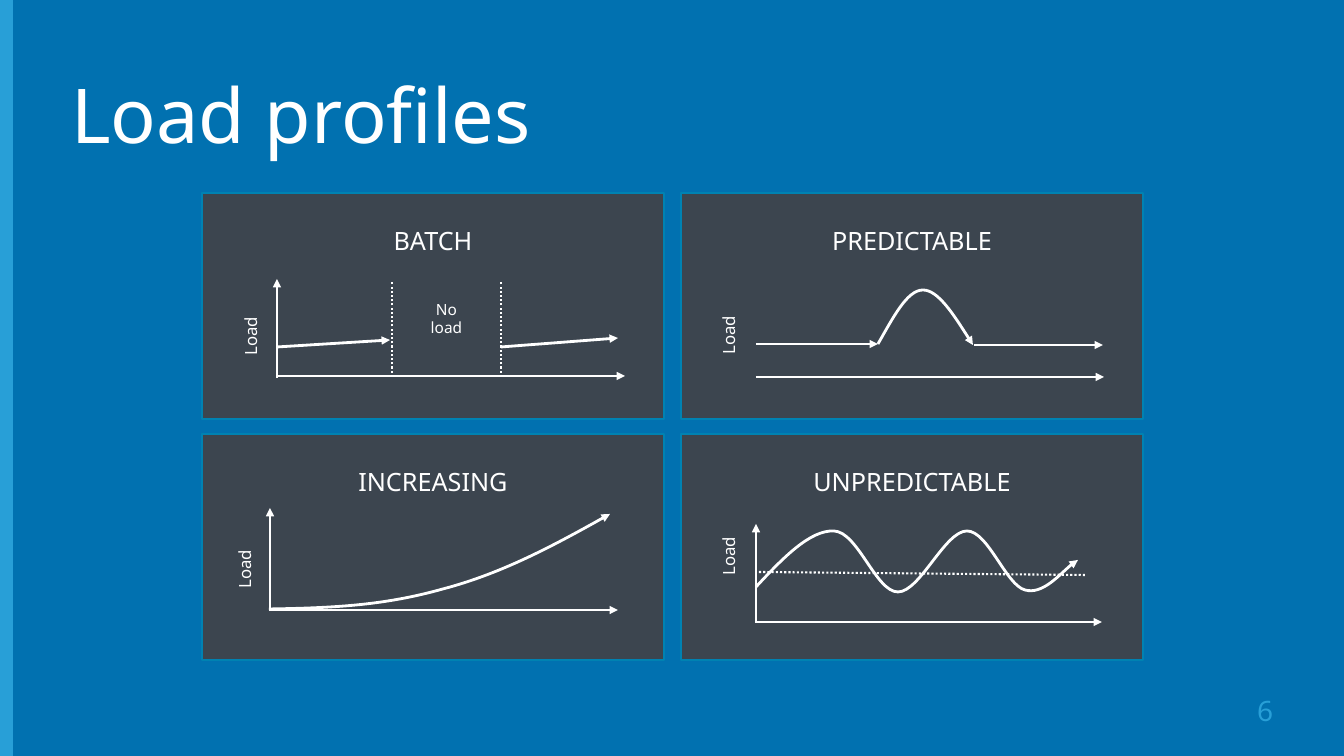
from dataclasses import dataclass

from lxml import etree
from pptx import Presentation
from pptx.dml.color import RGBColor
from pptx.enum.dml import MSO_LINE
from pptx.enum.shapes import MSO_CONNECTOR, MSO_SHAPE
from pptx.enum.text import MSO_ANCHOR, MSO_AUTO_SIZE, PP_ALIGN
from pptx.oxml.ns import qn
from pptx.util import Pt

RECT = MSO_SHAPE.RECTANGLE
STRAIGHT = MSO_CONNECTOR.STRAIGHT
DOT = MSO_LINE.ROUND_DOT
LEFT, MID, RIGHT = PP_ALIGN.LEFT, PP_ALIGN.CENTER, PP_ALIGN.RIGHT
TOP, MIDDLE = MSO_ANCHOR.TOP, MSO_ANCHOR.MIDDLE
FIXED = MSO_AUTO_SIZE.NONE
TITLE_ONLY = 5


@dataclass(frozen=True)
class Theme:
    """Colours, font and sizes of the slide."""
    back: RGBColor = RGBColor(0x01, 0x71, 0xB0)
    accent: RGBColor = RGBColor(0x28, 0x9F, 0xD7)
    card: RGBColor = RGBColor(0x3C, 0x45, 0x4F)
    edge: RGBColor = RGBColor(0x00, 0x82, 0xB2)
    ink: RGBColor = RGBColor(0xFF, 0xFF, 0xFF)
    font: str = "Noto Sans"
    title: int = 54
    page: int = 20
    head: int = 18
    label: int = 12
    note: int = 11
    lead: float = 10.7
    gap: float = 2.2
    line: float = 2
    dots: float = 1.5


THEME = Theme()


def px(num):
    """Turn pixels into EMU."""
    return round(num * 914400 / 100.8)


def place(box, x, y):
    """Shift a point by the corner of its box, in EMU."""
    return px(box[0] + x), px(box[1] + y)


def write(shape, text, size, color=THEME.ink, align=MID, anchor=TOP):
    """Set the text of a shape and format its runs."""
    frame = shape.text_frame
    frame.text = text
    frame.word_wrap = True
    frame.auto_size = FIXED
    frame.vertical_anchor = anchor
    for para in frame.paragraphs:
        para.alignment = align
        for run in para.runs:
            run.font.size = Pt(size)
            run.font.name = THEME.font
            run.font.color.rgb = color
    return frame


def block(slide, box, fill):
    """Draw a plain rectangle."""
    shape = slide.shapes.add_shape(RECT, *map(px, box))
    shape.shadow.inherit = False
    shape.fill.solid()
    shape.fill.fore_color.rgb = fill
    shape.line.fill.background()
    return shape


def stroke(shape, width):
    """Give a line its colour and width."""
    shape.line.color.rgb = THEME.ink
    shape.line.width = Pt(width)


def tip(shape):
    """Put a triangle at the end of a line."""
    etree.SubElement(shape.line._get_or_add_ln(), qn("a:tailEnd"), type="triangle")


def line(slide, box, start, end, dotted=False):
    """Draw an arrow, or a dotted line, inside a box."""
    link = slide.shapes.add_connector(STRAIGHT, *place(box, *start), *place(box, *end))
    stroke(link, THEME.dots if dotted else THEME.line)
    if dotted:
        link.line.dash_style = DOT
    else:
        tip(link)
    etree.SubElement(link._element.spPr, qn("a:effectLst"))


def curve(slide, box, start, *points):
    """Draw an arrow of Bezier arcs, three points to each arc."""
    pen = slide.shapes.build_freeform(*place(box, *start))
    pen.add_line_segments([place(box, *spot) for spot in points], close=False)
    shape = pen.convert_to_shape()
    shape.shadow.inherit = False
    shape.fill.background()
    stroke(shape, THEME.line)
    tip(shape)
    steps = list(shape._element.iter(qn("a:lnTo")))
    for first in range(0, len(steps), 3):
        arc = etree.Element(qn("a:cubicBezTo"))
        steps[first].addprevious(arc)
        for step in steps[first:first + 3]:
            arc.append(step[0])
            step.getparent().remove(step)


def label(slide, box, area, text, size, turn=0):
    """Add a small label with tight lines."""
    x, y, wide, high = area
    shape = slide.shapes.add_textbox(*place(box, x, y), px(wide), px(high))
    shape.rotation = turn
    for para in write(shape, text, size).paragraphs:
        para.line_spacing = Pt(THEME.lead)
        para.space_before = Pt(THEME.gap)


def panel(slide, box, head, x, y):
    """Draw a card with its heading and the load label at x, y."""
    card = block(slide, box, THEME.card)
    card.line.color.rgb = THEME.edge
    card.line.width = Pt(1)
    write(card, head, THEME.head).margin_top = px(32)
    label(slide, box, (x, y, 113, 26), "Load", THEME.label, 270)


def batch(slide, box):
    """Draw the batch profile."""
    panel(slide, box, "BATCH", -5, 130)
    line(slide, box, (75, 185), (75, 86))
    line(slide, box, (75, 183), (423, 183))
    line(slide, box, (75, 154), (188, 147))
    line(slide, box, (299, 154), (416, 145))
    for x in (190, 299):
        line(slide, box, (x, 184), (x, 89), dotted=True)
    label(slide, box, (183, 106, 123, 45), "No\nload", THEME.note)


def bump(slide, box):
    """Draw the predictable profile."""
    panel(slide, box, "PREDICTABLE", -6, 129)
    line(slide, box, (75, 184), (423, 184))
    line(slide, box, (293, 152), (422, 152))
    line(slide, box, (75, 151), (197, 151))
    curve(slide, box, (197, 151), (212, 125), (226, 97), (242, 97),
          (257, 97), (275, 125), (292, 152))


def growth(slide, box):
    """Draw the increasing profile."""
    panel(slide, box, "INCREASING", -11, 122)
    line(slide, box, (68, 177), (68, 74))
    line(slide, box, (68, 176), (416, 176))
    curve(slide, box, (67, 175), (135, 174), (184, 171), (241, 155),
          (298, 140), (353, 111), (408, 80))


def waves(slide, box):
    """Draw the unpredictable profile."""
    panel(slide, box, "UNPREDICTABLE", -6, 109)
    line(slide, box, (75, 189), (75, 90))
    line(slide, box, (74, 188), (421, 188))
    curve(slide, box, (75, 153), (102, 124), (129, 96), (153, 97),
          (177, 98), (195, 158), (217, 158), (239, 158), (264, 97), (286, 97),
          (307, 97), (325, 151), (344, 156), (362, 161), (386, 132), (397, 126))
    line(slide, box, (78, 138), (405, 141), dotted=True)


def grid(slide, box):
    """Place the four profiles in two rows and two columns."""
    left, top, wide, high = box
    gap_x, gap_y = 17, 15
    size = (wide - gap_x) // 2, (high - gap_y) // 2
    for spot, draw in enumerate((batch, bump, growth, waves)):
        row, col = divmod(spot, 2)
        draw(slide, (left + col * (size[0] + gap_x), top + row * (size[1] + gap_y), *size))


def title(slide, box, text):
    """Move and format the title placeholder."""
    shape = slide.shapes.title
    shape.left, shape.top, shape.width, shape.height = map(px, box)
    frame = write(shape, text, THEME.title, align=LEFT, anchor=MIDDLE)
    frame.paragraphs[0].line_spacing = 0.9


def page(slide, box, text):
    """Add the page number."""
    shape = slide.shapes.add_textbox(*map(px, box))
    write(shape, text, THEME.page, THEME.accent, RIGHT, MIDDLE)


def main():
    """Build the slide and save it."""
    deck = Presentation()
    deck.slide_width, deck.slide_height = px(1344), px(756)
    slide = deck.slides.add_slide(deck.slide_layouts[TITLE_ONLY])
    slide.background.fill.solid()
    slide.background.fill.fore_color.rgb = THEME.back
    block(slide, (0, 0, 13, 756), THEME.accent)
    title(slide, (61, 46, 1222, 146), "Load profiles")
    page(slide, (981, 690, 302, 40), "6")
    grid(slide, (202, 193, 941, 467))
    deck.save("out.pptx")


main()
